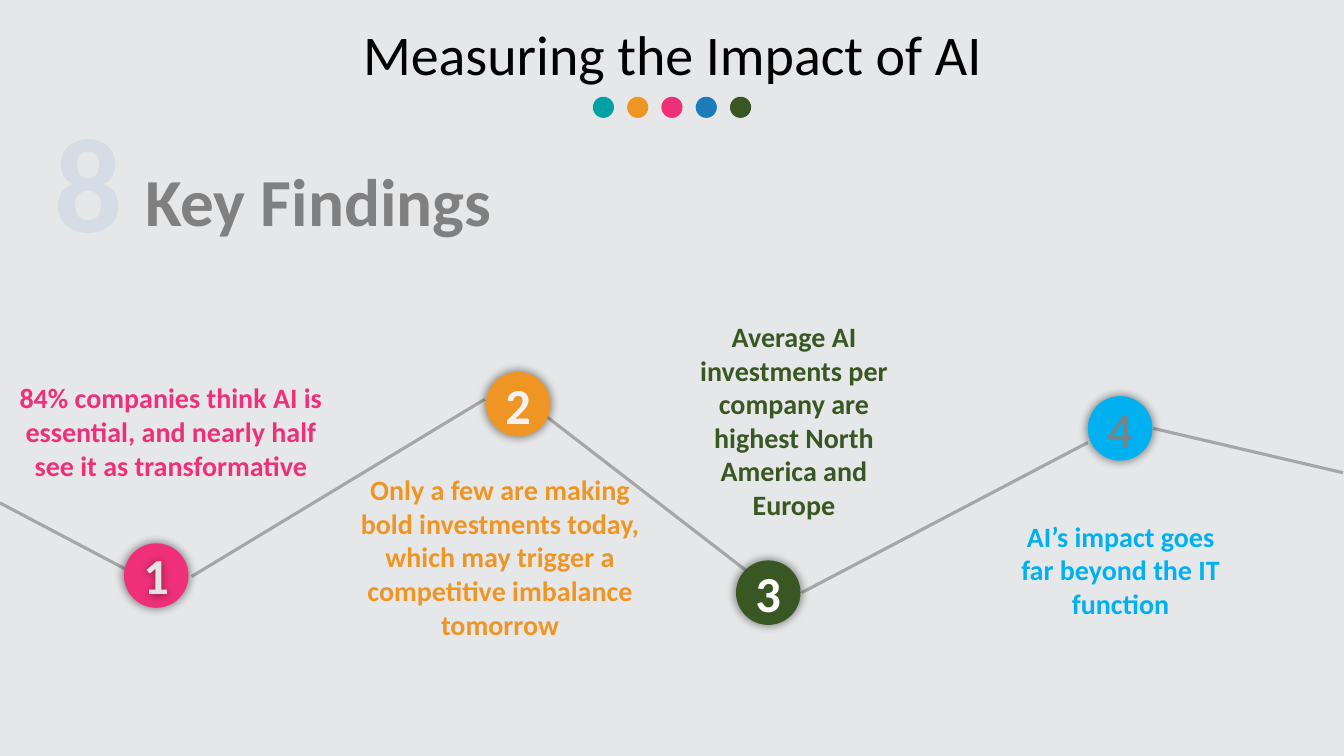
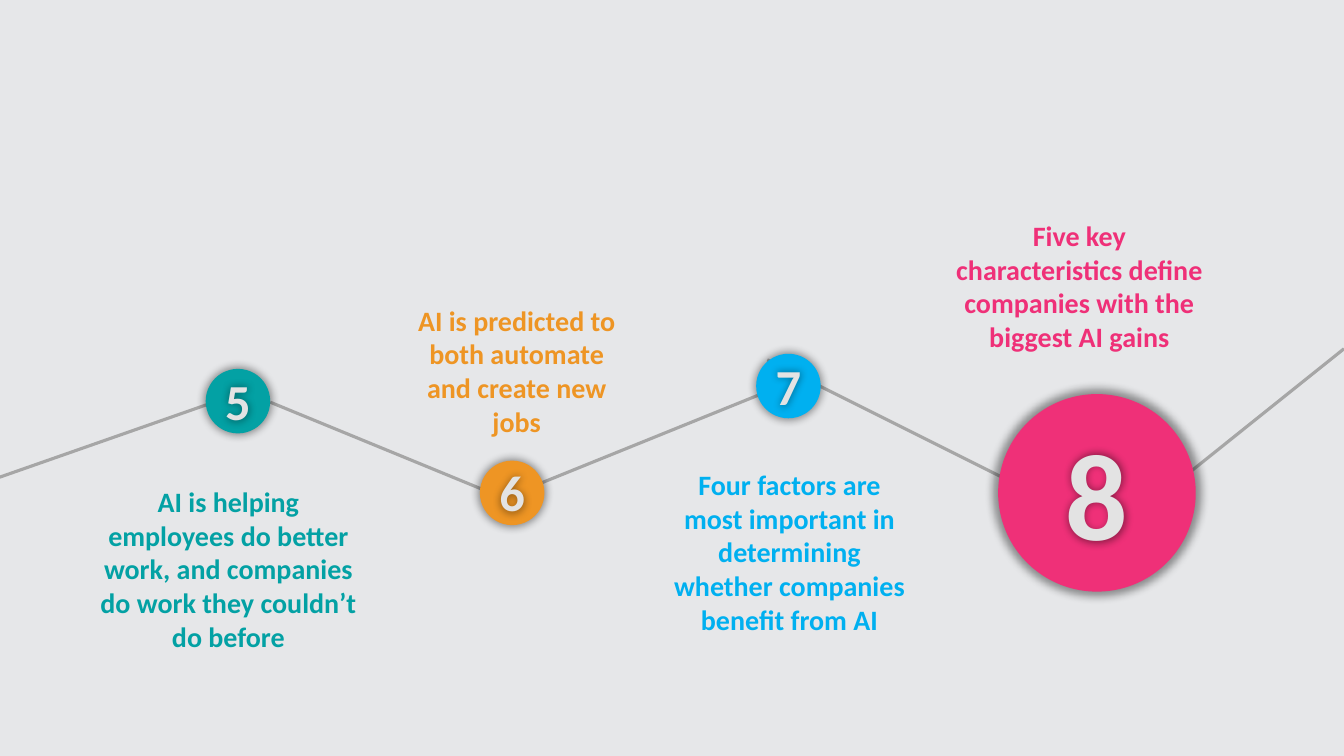
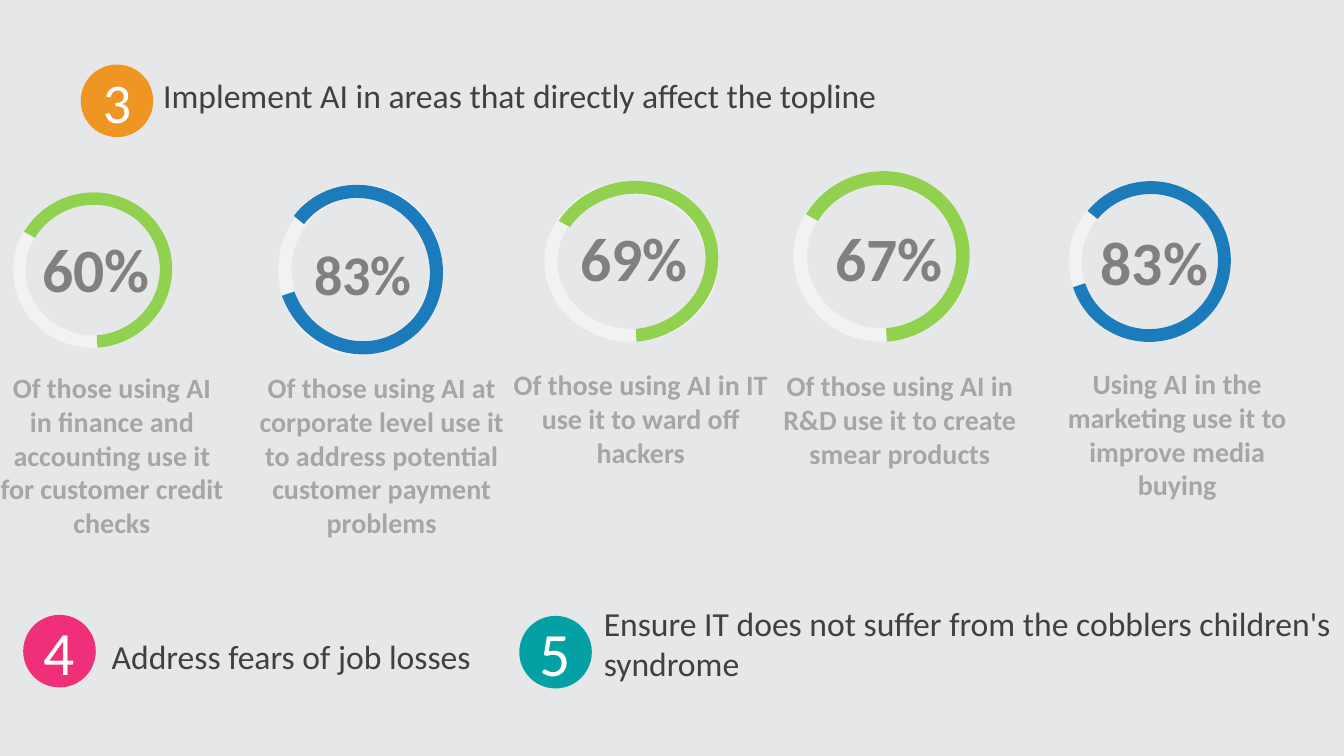
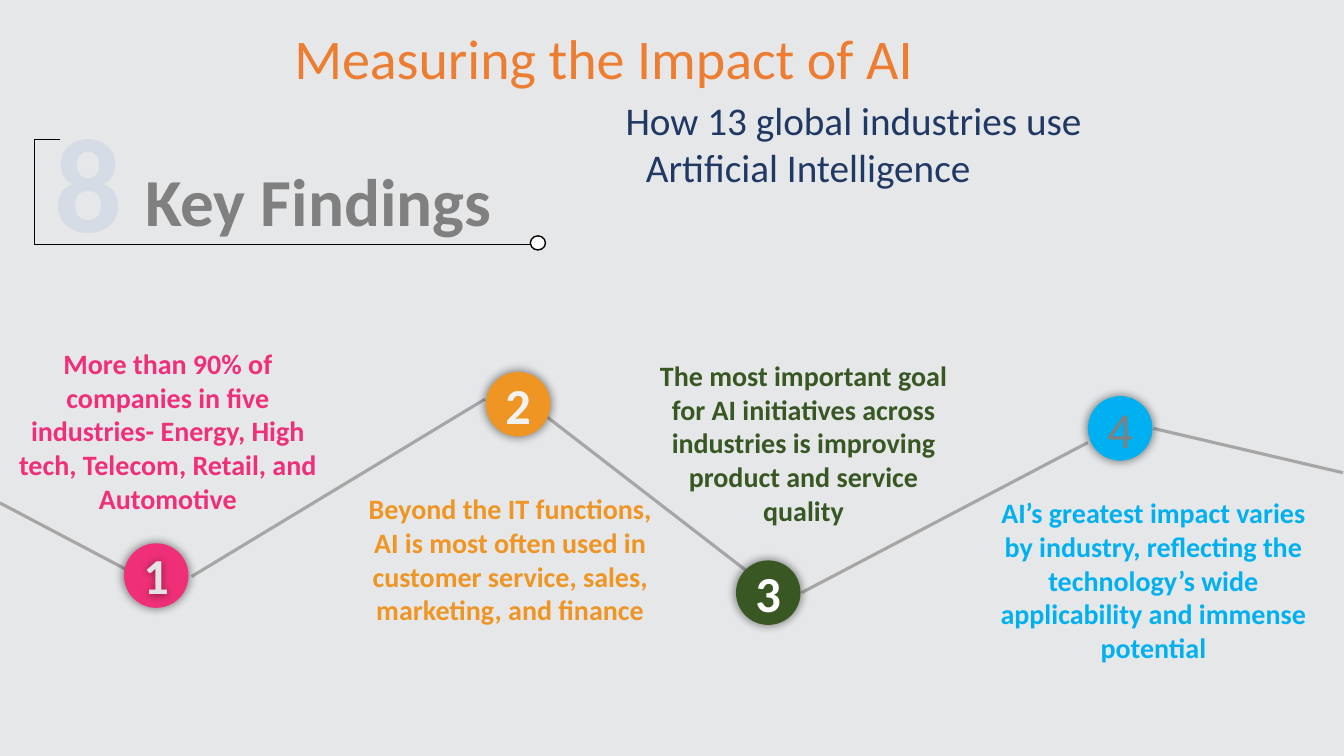
from lxml import etree
from pptx import Presentation
from pptx.dml.color import RGBColor
from pptx.enum.shapes import MSO_CONNECTOR, MSO_SHAPE
from pptx.enum.text import MSO_ANCHOR, PP_ALIGN
from pptx.oxml import parse_xml
from pptx.oxml.ns import nsdecls, qn
from pptx.util import Emu, Pt

# Constants: 100 px to the inch
SCALE = 9144
FONT = "Calibri"
LEFT, CENTER = PP_ALIGN.LEFT, PP_ALIGN.CENTER
MIDDLE = MSO_ANCHOR.MIDDLE
OVAL, DONUT, ARC = MSO_SHAPE.OVAL, MSO_SHAPE.DONUT, MSO_SHAPE.BLOCK_ARC
DOT = MSO_SHAPE.FLOWCHART_CONNECTOR
STRAIGHT, ELBOW = MSO_CONNECTOR.STRAIGHT, MSO_CONNECTOR.ELBOW

BACKGROUND, BLACK, WHITE = "E6E7E9", "000000", "FFFFFF"
TEAL, ORANGE, PINK, BLUE = "03A1A4", "EE9524", "EF3078", "1C7CBB"
FOREST, SKY, LIME, NAVY = "385723", "00B0F0", "92D050", "203864"
RUST, PALE_BLUE = "ED7D31", "D6DCE5"
SILVER, MIST, GRAY, MID_GRAY, DARK_GRAY = "E3E3E3", "F2F2F2", "808080", "A6A6A6", "404040"

# Zigzag paths: lines are x1, y1, x2, y2
FIRST_LINES = [(1332, 469, 1144, 425), (148, 577, 0, 499), (543, 414, 740, 566),
               (795, 588, 1079, 439), (190, 572, 481, 396)]
SECOND_LINES = [(215, 398, -2, 474), (487, 489, 268, 399), (510, 490, 772, 384),
                (1025, 489, 761, 357), (1333, 346, 1162, 483)]

# Nodes: number, left, top, diameter, fill, number format, glowing number
SMALL, LARGE = 64, 196
RAISED = dict(size=36, color=SILVER, bold=True)
FIRST_NODES = [
    ("1", 123, 539, SMALL, PINK, RAISED, True),
    ("2", 482, 369, SMALL, ORANGE, dict(size=36, color=MIST, bold=True), False),
    ("3", 730, 556, SMALL, FOREST, dict(size=36, color=WHITE, bold=True), False),
    ("4", 1079, 393, SMALL, SKY, dict(size=36, color=GRAY), False),
]
SECOND_NODES = [
    ("8", 990, 391, LARGE, PINK, dict(size=88, color=SILVER, bold=True), True),
    ("5", 204, 366, SMALL, TEAL, RAISED, True),
    ("6", 476, 457, SMALL, ORANGE, RAISED, True),
    ("7", 750, 351, SMALL, SKY, RAISED, True),
]

# Captions: text, area, color
IMPACT_CAPTIONS = [
    ("84% companies think AI is essential, and nearly half see it as transformative",
     (9, 373, 321, 145), PINK),
    ("Only a few are making bold investments today, which may trigger a competitive "
     "imbalance tomorrow", (333, 464, 326, 178), ORANGE),
    ("Average AI investments per company are highest North America and Europe",
     (671, 312, 233, 212), FOREST),
    ("AI’s impact goes far beyond the IT function", (995, 510, 233, 111), SKY),
]
OUTLOOK_CAPTIONS = [
    ("Five key characteristics define companies with the biggest AI gains",
     (935, 212, 271, 145), PINK),
    ("AI is helping employees do better work, and companies do work they couldn’t do before",
     (87, 476, 279, 178), TEAL),
    ("AI is predicted to both automate and create new jobs", (396, 296, 233, 145), ORANGE),
    ("Four factors are most important in determining whether companies benefit from AI",
     (654, 459, 258, 178), SKY),
]
INDUSTRY_CAPTIONS = [
    ("More than 90% of companies in five industries- Energy, High tech, Telecom, Retail, "
     "and Automotive", (6, 339, 321, 178), PINK),
    ("Beyond the IT functions, AI is most often used in customer service, sales, "
     "marketing, and finance", (343, 483, 326, 145), ORANGE),
    ("The most important goal for AI initiatives across industries is improving product "
     "and service quality", (634, 351, 326, 178), FOREST),
    ("AI’s greatest impact varies by industry, reflecting the technology’s wide "
     "applicability and immense potential", (981, 487, 326, 178), SKY),
]

# Advice: number, circle left and top, fill, number size, text, text area
ADVICE = [
    ("3", 80, 64, ORANGE, 40, "Implement AI in areas that directly affect the topline",
     (152, 69, 787, 50)),
    ("5", 515, 611, TEAL, 44, "Ensure IT does not suffer from the cobblers children's syndrome",
     (589, 593, 746, 91)),
    ("4", 23, 610, PINK, 44, "Address fears of job losses", (101, 626, 398, 51)),
]

# Arc styles: color, rotation, start setting
BLUE_ARC = (BLUE, 60, 95.45)
GREEN_ARC = (LIME, 345, 134.52)
ARC_END, RING_WIDTH = 60.89, 0.08

# Gauges: ring area, arc area, arc style, value, value area, size, caption, caption area
GAUGES = [
    ((13, 191, 158, 154), (13, 191, 158, 154), GREEN_ARC, "60%", (23, 224, 144, 84), 44,
     "Of those using AI in finance and accounting use it for customer credit checks",
     (-11, 363, 244, 182)),
    ((276, 183, 163, 170), (272, 186, 170, 163), BLUE_ARC, "83%", (246, 233, 228, 77), 40,
     "Of those using AI at corporate level use it to address potential customer payment problems",
     (241, 363, 275, 178)),
    ((540, 180, 173, 159), (540, 180, 173, 159), GREEN_ARC, "69%", (515, 213, 228, 84), 44,
     "Of those using AI in IT use it to ward off hackers", (498, 360, 275, 111)),
    ((787, 170, 175, 169), (787, 170, 175, 169), GREEN_ARC, "67%", (768, 213, 228, 84), 44,
     "Of those using AI in R&D use it to create smear products", (755, 361, 275, 111)),
    ((1060, 180, 161, 159), (1061, 179, 159, 161), BLUE_ARC, "83%", (1031, 217, 228, 84), 44,
     "Using AI in the marketing use it to improve media buying", (1030, 359, 275, 145)),
]


# Helpers
def px(length):
    return Emu(round(length * SCALE))


def rgb(color):
    return RGBColor.from_string(color)


def write(paragraph, text, size, color, bold=False, align=LEFT):
    paragraph.alignment = align
    span = paragraph.add_run()
    span.text = text
    span.font.name, span.font.size, span.font.bold = FONT, Pt(size), bold
    span.font.color.rgb = rgb(color)


def add_text(page, text, area, **style):
    box = page.shapes.add_textbox(*map(px, area))
    box.text_frame.word_wrap = True
    write(box.text_frame.paragraphs[0], text, **style)
    return box


def add_shape(page, kind, area, fill, outline=None):
    shape = page.shapes.add_shape(kind, *map(px, area))
    shape.shadow.inherit = False
    shape.fill.solid()
    shape.fill.fore_color.rgb = rgb(fill)
    if outline:
        shape.line.color.rgb = rgb(outline)
        shape.line.width = Pt(1)
    else:
        shape.line.fill.background()
    return shape


def add_line(page, points, color=MID_GRAY, width=2.25, kind=STRAIGHT):
    line = page.shapes.add_connector(kind, *map(px, points))
    line.line.color.rgb = rgb(color)
    line.line.width = Pt(width)
    etree.SubElement(line._element.spPr, qn("a:effectLst"))
    return line


def add_glow(shape):
    properties = shape._element.spPr
    for effects in properties.findall(qn("a:effectLst")):
        properties.remove(effects)
    properties.append(parse_xml(
        f'<a:effectLst {nsdecls("a")}><a:outerShdw blurRad="{Pt(6)}" sx="105000" sy="105000" '
        f'algn="ctr" rotWithShape="0"><a:srgbClr val="{BLACK}"><a:alpha val="40000"/>'
        '</a:srgbClr></a:outerShdw></a:effectLst>'))


def write_in_circle(circle, text, **style):
    frame = circle.text_frame
    frame.margin_left = frame.margin_right = frame.margin_top = frame.margin_bottom = 0
    frame.vertical_anchor = MIDDLE
    write(frame.paragraphs[0], text, align=CENTER, **style)


# Parts shared by slides
def add_page(deck):
    page = deck.slides.add_slide(deck.slide_layouts[6])
    page.background.fill.solid()
    page.background.fill.fore_color.rgb = rgb(BACKGROUND)
    return page


def add_path(page, lines, nodes, captions):
    for points in lines:
        add_line(page, points)
    for number, left, top, diameter, fill, style, glowing in nodes:
        circle = add_shape(page, OVAL, (left, top, diameter, diameter), fill)
        add_glow(circle)
        if glowing:
            height = round(style["size"] * 1.7 + 10)
            area = (left, top + (diameter - height) // 2, diameter, height)
            add_glow(add_text(page, number, area, align=CENTER, **style))
        else:
            write_in_circle(circle, number, **style)
    for text, area, color in captions:
        add_text(page, text, area, size=20, color=color, bold=True, align=CENTER)


def add_findings_heading(page):
    add_text(page, "8", (27, 92, 121, 172), size=96, color=PALE_BLUE, bold=True, align=CENTER)
    add_text(page, "Key Findings", (134, 153, 405, 91), size=48, color=GRAY, bold=True)


# Slides
def build_impact(deck):
    page = add_page(deck)
    add_text(page, "Measuring the Impact of AI", (269, 14, 796, 77),
             size=40, color=BLACK, align=CENTER)
    for index, color in enumerate([TEAL, ORANGE, PINK, BLUE, FOREST]):
        add_shape(page, OVAL, (588 + 34 * index, 96, 21, 21), color)
    add_path(page, FIRST_LINES, FIRST_NODES, IMPACT_CAPTIONS)
    add_findings_heading(page)


def build_outlook(deck):
    add_path(add_page(deck), SECOND_LINES, SECOND_NODES, OUTLOOK_CAPTIONS)


def build_advice(deck):
    page = add_page(deck)
    for number, left, top, fill, size, text, area in ADVICE:
        circle = add_shape(page, OVAL, (left, top, 72, 72), fill)
        write_in_circle(circle, number, size=size, color=WHITE)
        add_text(page, text, area, size=24, color=DARK_GRAY)
    for ring_area, arc_area, arc_style, value, value_area, size, caption, caption_area in GAUGES:
        ring = add_shape(page, DONUT, ring_area, MIST)
        ring.adjustments[0] = RING_WIDTH
        color, rotation, start = arc_style
        arc = add_shape(page, ARC, arc_area, color)
        arc.rotation = rotation
        for index, setting in enumerate((start, ARC_END, RING_WIDTH)):
            arc.adjustments[index] = setting
        add_text(page, value, value_area, size=size, color=GRAY, bold=True, align=CENTER)
        add_text(page, caption, caption_area, size=20, color=MID_GRAY, bold=True, align=CENTER)


def build_industries(deck):
    page = add_page(deck)
    title = add_text(page, "Measuring the Impact of AI", (282, 18, 1039, 185),
                     size=40, color=RUST)
    for text, indent, space in [("How 13 global industries use", 90, 4),
                                ("Artificial Intelligence", 0, 0)]:
        paragraph = title.text_frame.add_paragraph()
        paragraph.space_before = Pt(space)
        paragraph._p.get_or_add_pPr().set("marL", str(px(indent)))
        write(paragraph, text, size=28, color=NAVY, align=CENTER)
    add_path(page, FIRST_LINES, FIRST_NODES, INDUSTRY_CAPTIONS)
    add_findings_heading(page)
    # Bracket around the heading, its bend lying left of both ends
    bracket = add_line(page, (59, 138, 528, 242), color=BLACK, width=0.5, kind=ELBOW)
    settings = bracket._element.spPr.find(qn("a:prstGeom")).find(qn("a:avLst"))
    etree.SubElement(settings, qn("a:gd"), name="adj1", fmla="val -5300")
    add_shape(page, DOT, (526, 234, 15, 14), WHITE, outline=BLACK)


def main():
    deck = Presentation()
    deck.slide_width, deck.slide_height = px(1333), px(750)
    for build in (build_impact, build_outlook, build_advice, build_industries):
        build(deck)
    deck.save("out.pptx")


if __name__ == "__main__":
    main()
